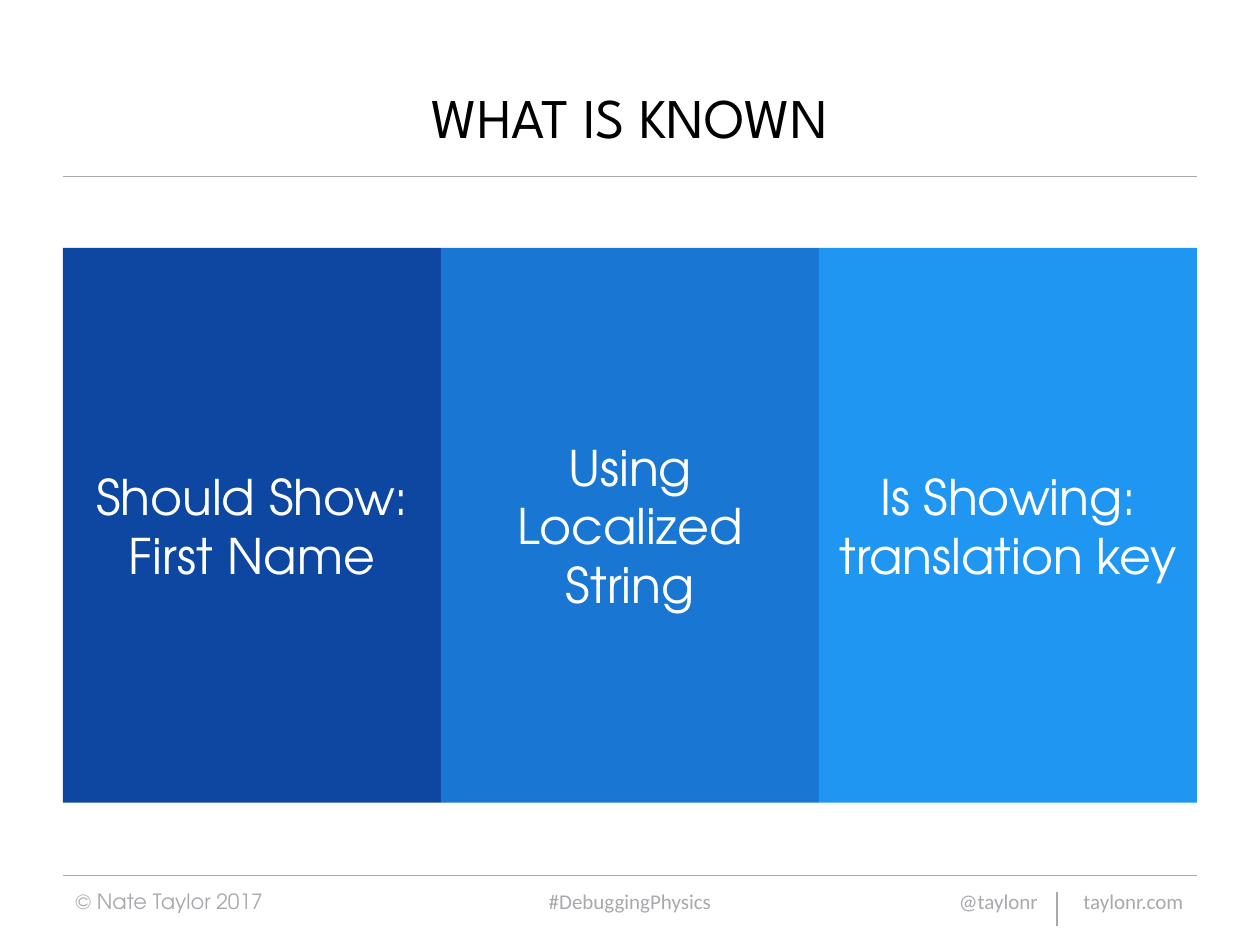
from dataclasses import dataclass

from lxml import etree
from pptx import Presentation
from pptx import util as u
from pptx.dml.color import RGBColor
from pptx.enum import shapes, text
from pptx.oxml.ns import qn

COLORS = {
    "title": "000000", "gray": "A7A9AC", "white": "FFFFFF",
    "dark": "0D47A1", "medium": "1976D2", "light": "2096F3",
}
GEOMETRIC = "TeX Gyre Adventor"
MARGIN, RIGHT, FOOTER_TOP = 1.27, 24.13, 17.65
PANEL_TOP, PANEL_W, PANEL_H = 5.0, 7.62, 11.18


@dataclass
class Rule:
    x1: float
    y1: float
    x2: float
    y2: float


@dataclass
class Panel:
    words: str
    fill: str


@dataclass
class Footer:
    words: str
    left: float
    width: float
    font: str
    align: text.PP_ALIGN
    inset: float = 0.25
    tab: float = 0


RULES = [
    Rule(MARGIN, 3.56, RIGHT, 3.56),
    Rule(MARGIN, FOOTER_TOP, RIGHT, FOOTER_TOP),
    Rule(21.31, 18.67, 21.31, 17.98),
]
PANELS = [
    Panel("Should Show:\nFirst Name", "dark"),
    Panel("Using Localized String", "medium"),
    Panel("Is Showing: translation key", "light"),
]
FOOTERS = [
    Footer("#DebuggingPhysics", 8.41, 8.58, "Calibri", text.PP_ALIGN.CENTER),
    Footer("@taylonr\ttaylonr.com", 18.21, 5.92, "Calibri", text.PP_ALIGN.LEFT,
           inset=1.12, tab=2.51),
    Footer("© Nate Taylor 2017", MARGIN, 5.92, GEOMETRIC, text.PP_ALIGN.LEFT),
]


def rgb(name: str) -> RGBColor:
    return RGBColor.from_string(COLORS[name])


def write(tf, words: str, font: str, size: float, color: str,
          align=text.PP_ALIGN.CENTER) -> None:
    tf.text = words
    tf.word_wrap = True
    tf.auto_size = text.MSO_AUTO_SIZE.NONE
    tf.vertical_anchor = text.MSO_ANCHOR.MIDDLE
    for p in tf.paragraphs:
        p.alignment = align
        for r in p.runs:
            r.font.name = font
            r.font.size = u.Pt(size)
            r.font.color.rgb = rgb(color)


def draw_rule(s, rule: Rule) -> None:
    line = s.shapes.add_connector(
        shapes.MSO_CONNECTOR.STRAIGHT,
        u.Cm(rule.x1), u.Cm(rule.y1), u.Cm(rule.x2), u.Cm(rule.y2))
    line.line.color.rgb = rgb("gray")
    line.line.width = u.Pt(1)
    etree.SubElement(line._element.spPr, qn("a:effectLst"))


def draw_panel(s, panel: Panel, column: int) -> None:
    sp = s.shapes.add_shape(
        shapes.MSO_SHAPE.RECTANGLE, u.Cm(MARGIN + column * PANEL_W),
        u.Cm(PANEL_TOP), u.Cm(PANEL_W), u.Cm(PANEL_H))
    sp.shadow.inherit = False
    sp.fill.solid()
    sp.fill.fore_color.rgb = rgb(panel.fill)
    sp.line.fill.background()
    write(sp.text_frame, panel.words, GEOMETRIC, 28, "white")


def draw_footer(s, footer: Footer) -> None:
    box = s.shapes.add_textbox(u.Cm(footer.left), u.Cm(FOOTER_TOP),
                               u.Cm(footer.width), u.Cm(1.02))
    tf = box.text_frame
    write(tf, footer.words, footer.font, 12, "gray", footer.align)
    tf.margin_left = u.Cm(footer.inset)
    if footer.tab:
        tabs = etree.SubElement(tf.paragraphs[0]._p.get_or_add_pPr(), qn("a:tabLst"))
        etree.SubElement(tabs, qn("a:tab"), pos=str(u.Cm(footer.tab)), algn="l")


def main() -> None:
    prs = Presentation()
    prs.slide_width, prs.slide_height = u.Cm(25.4), u.Cm(19.05)
    s = prs.slides.add_slide(prs.slide_layouts[5])

    # Title
    title = s.shapes.title
    title.left, title.top = u.Cm(MARGIN), u.Cm(0.76)
    title.width, title.height = u.Cm(RIGHT - MARGIN), u.Cm(3.18)
    write(title.text_frame, "WHAT IS KNOWN", "League Spartan", 32, "title")

    # Rules, panels and footer
    for rule in RULES:
        draw_rule(s, rule)
    for column, panel in enumerate(PANELS):
        draw_panel(s, panel, column)
    for footer in FOOTERS:
        draw_footer(s, footer)

    prs.save("out.pptx")


if __name__ == "__main__":
    main()
